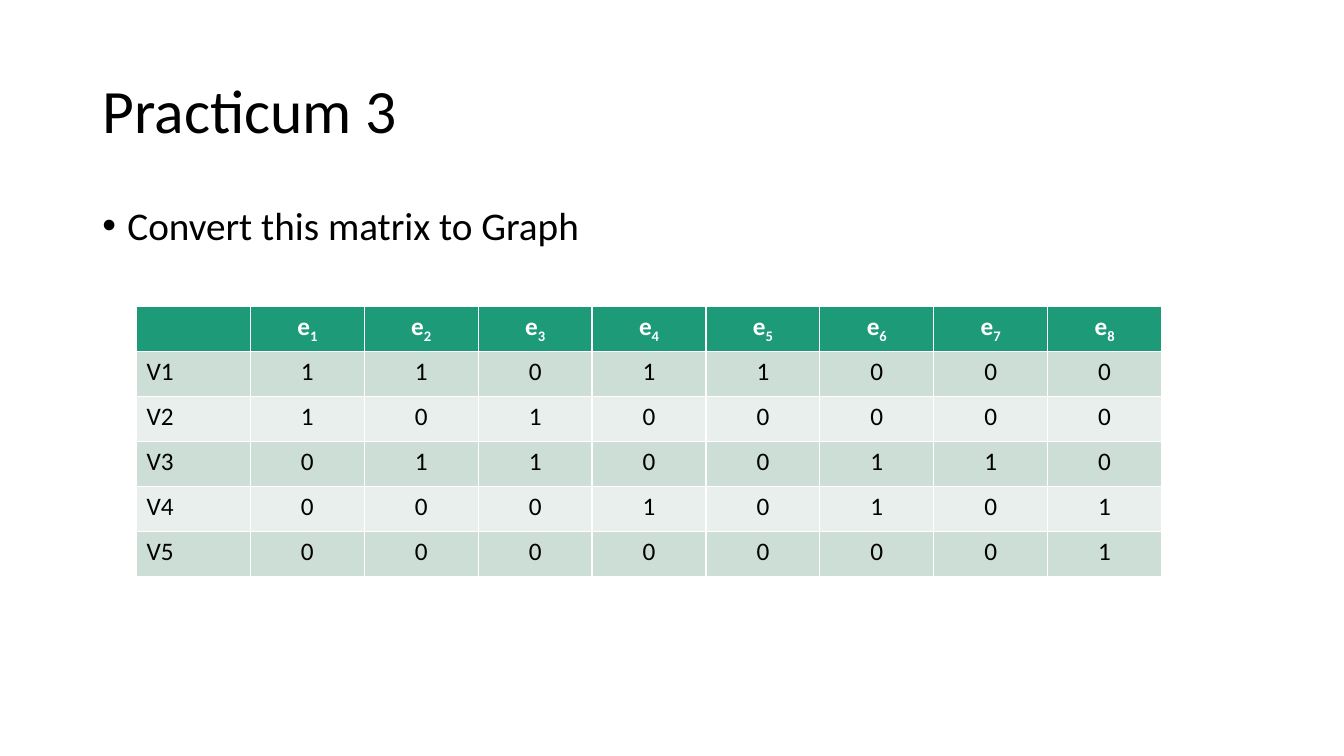
from pptx import Presentation
from pptx.dml.color import RGBColor
from pptx.enum.text import MSO_ANCHOR, PP_ALIGN
from pptx.oxml.ns import qn
from pptx.util import Pt
from lxml import etree

FONT = "Calibri"
BLACK, WHITE = "000000", "FFFFFF"
HEADER_FILL = "1D9A78"
BAND_FILLS = ["CDDED6", "E8EFEC"]
INCIDENCE = ["11011000", "10100000", "01100110", "00010101", "00000001"]
EDGE_COUNT = len(INCIDENCE[0])
COLUMN_WIDTH, ROW_HEIGHT = 81.36, 32.2


def rgb(color):
    return RGBColor.from_string(color)


def format_runs(paragraph, size, color, bold=False):
    for run in paragraph.runs:
        run.font.name = FONT
        run.font.size = Pt(size)
        run.font.bold = bold
        run.font.color.rgb = rgb(color)


presentation = Presentation()
presentation.slide_width, presentation.slide_height = Pt(960), Pt(540)
slide = presentation.slides.add_slide(presentation.slide_layouts[5])

# Title
title = slide.shapes.title
title.left, title.top, title.width, title.height = Pt(66), Pt(28.75), Pt(828), Pt(104.4)
title.text_frame.text = "Practicum 3"
title.text_frame.vertical_anchor = MSO_ANCHOR.MIDDLE
heading = title.text_frame.paragraphs[0]
heading.alignment = PP_ALIGN.LEFT
heading.line_spacing = 0.9
format_runs(heading, 44, BLACK)

# Bulleted task
task_box = slide.shapes.add_textbox(Pt(66), Pt(143.75), Pt(828), Pt(342.6))
task_box.text_frame.word_wrap = True
task_box.text_frame.text = "Convert this matrix to Graph"
task = task_box.text_frame.paragraphs[0]
properties = task._p.get_or_add_pPr()
properties.set("marL", str(Pt(18)))
properties.set("indent", str(Pt(-18)))
etree.SubElement(properties, qn("a:buFont")).set("typeface", "Arial")
etree.SubElement(properties, qn("a:buChar")).set("char", "•")
task.line_spacing = 0.9
format_runs(task, 28, BLACK)

# Incidence matrix: vertices down, edges across
rows, columns = len(INCIDENCE) + 1, EDGE_COUNT + 1
table = slide.shapes.add_table(
    rows, columns, Pt(97.5), Pt(219), Pt(columns * COLUMN_WIDTH), Pt(rows * ROW_HEIGHT)
).table
for column in table.columns:
    column.width = Pt(COLUMN_WIDTH)
for row in table.rows:
    row.height = Pt(ROW_HEIGHT)

for column in range(columns):
    cell = table.cell(0, column)
    cell.fill.solid()
    cell.fill.fore_color.rgb = rgb(HEADER_FILL)
    if column == 0:
        continue
    paragraph = cell.text_frame.paragraphs[0]
    paragraph.alignment = PP_ALIGN.CENTER
    paragraph.add_run().text = "e"
    subscript = paragraph.add_run()
    subscript.text = str(column)
    format_runs(paragraph, 18, WHITE, bold=True)
    subscript._r.get_or_add_rPr().set("baseline", "-25000")

for row, digits in enumerate(INCIDENCE, start=1):
    for column, text in enumerate([f"V{row}", *digits]):
        cell = table.cell(row, column)
        cell.fill.solid()
        cell.fill.fore_color.rgb = rgb(BAND_FILLS[(row - 1) % 2])
        cell.text_frame.text = text
        paragraph = cell.text_frame.paragraphs[0]
        paragraph.alignment = PP_ALIGN.CENTER if column else PP_ALIGN.LEFT
        format_runs(paragraph, 18, BLACK)

presentation.save("out.pptx")
